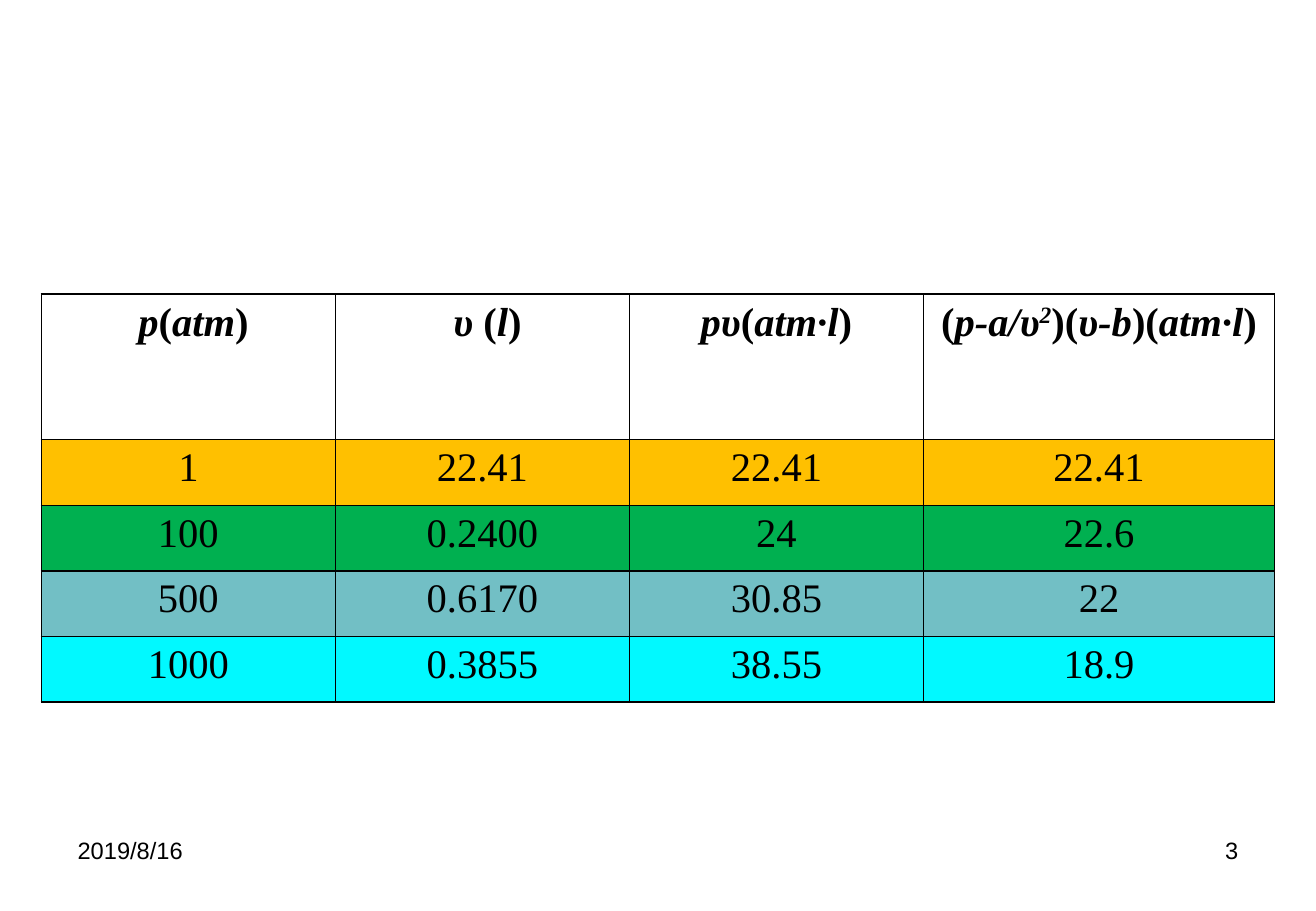
from dataclasses import dataclass
from typing import Optional

from lxml import etree
from pptx import Presentation
from pptx import util as u
from pptx.dml import color
from pptx.enum import text
from pptx.oxml import ns


@dataclass(frozen=True)
class Theme:
    """Colours, fonts and type sizes of the slide."""
    ink: str = "000000"
    amber: str = "FFC000"
    green: str = "00B050"
    teal: str = "72BFC5"
    cyan: str = "01F9FF"
    table_font: str = "Times New Roman"
    footer_font: str = "Arial"
    table_size: int = 24
    footer_size: int = 14
    border_width: int = 1


@dataclass(frozen=True)
class Row:
    """Table row whose cells are lists of spans."""
    cells: list[list[str]]
    height: float = 0.54
    fill: Optional[str] = None
    is_header: bool = False


@dataclass(frozen=True)
class Footer:
    """Footer text with its left edge and alignment."""
    words: str
    left: float
    align: text.PP_ALIGN


THEME = Theme()
SUPERSCRIPT = "^"
COLUMN_WIDTHS = [2.42, 2.42, 2.42, 2.89]
HEADINGS = [
    [" p", "(", "atm", ")"],
    [" υ ", "(", "l", ")"],
    ["pυ", "(", "atm·l", ")"],
    ["(", "p-a/υ", "^2", ")(", "υ-b", ")(", "atm·l", ")"],
]
READINGS = [
    ("1 22.41 22.41 22.41", THEME.amber),
    ("100 0.2400 24 22.6", THEME.green),
    ("500 0.6170 30.85 22", THEME.teal),
    ("1000 0.3855 38.55 18.9", THEME.cyan),
]
ROWS = [Row(HEADINGS, height=1.2, is_header=True)] + [
    Row([[value] for value in values.split()], fill=fill) for values, fill in READINGS
]
FOOTERS = [
    Footer("2019/8/16", 0.54, text.PP_ALIGN.LEFT),
    Footer("3", 7.76, text.PP_ALIGN.RIGHT),
]


def style_font(font, name: str, size: int) -> None:
    """Apply typeface, size and ink colour."""
    font.name = name
    font.size = u.Pt(size)
    font.color.rgb = color.RGBColor.from_string(THEME.ink)


def add_borders(cell) -> None:
    """Outline all four sides of a cell."""
    properties = cell._tc.get_or_add_tcPr()
    for side in ("a:lnL", "a:lnR", "a:lnT", "a:lnB"):
        line = etree.SubElement(properties, ns.qn(side), w=str(u.Pt(THEME.border_width)))
        solid = etree.SubElement(line, ns.qn("a:solidFill"))
        etree.SubElement(solid, ns.qn("a:srgbClr"), val=THEME.ink)


def fill_cell(cell, spans: list[str], row: Row) -> None:
    """Write the spans of one cell and set its look."""
    para = cell.text_frame.paragraphs[0]
    para.alignment = text.PP_ALIGN.CENTER
    for words in spans:
        span = para.add_run()
        span.text = words.removeprefix(SUPERSCRIPT)
        style_font(span.font, THEME.table_font, THEME.table_size)
        span.font.bold = row.is_header
        span.font.italic = row.is_header and not set(words) <= set("()")
        if words.startswith(SUPERSCRIPT):
            span.font._element.set("baseline", "30000")
    add_borders(cell)
    if row.fill:
        cell.fill.solid()
        cell.fill.fore_color.rgb = color.RGBColor.from_string(row.fill)
    else:
        cell.fill.background()


def draw_table(page) -> None:
    """Draw the table of gas readings."""
    width = sum(COLUMN_WIDTHS)
    height = sum(row.height for row in ROWS)
    table = page.shapes.add_table(
        len(ROWS), len(COLUMN_WIDTHS),
        u.Inches(0.34), u.Inches(2.42), u.Inches(width), u.Inches(height),
    ).table
    table.first_row = table.horz_banding = False
    for column, column_width in zip(table.columns, COLUMN_WIDTHS):
        column.width = u.Inches(column_width)
    for table_row, row in zip(table.rows, ROWS):
        table_row.height = u.Inches(row.height)
        for cell, spans in zip(table_row.cells, row.cells):
            fill_cell(cell, spans, row)


def draw_footer(page, footer: Footer) -> None:
    """Draw one footer text."""
    box = page.shapes.add_textbox(
        u.Inches(footer.left), u.Inches(6.83), u.Inches(2.53), u.Inches(0.52)
    )
    box.text_frame.word_wrap = True
    box.text_frame.text = footer.words
    para = box.text_frame.paragraphs[0]
    para.alignment = footer.align
    style_font(para.runs[0].font, THEME.footer_font, THEME.footer_size)


def main() -> None:
    """Build and save the deck."""
    deck = Presentation()
    deck.slide_width, deck.slide_height = u.Inches(10.83), u.Inches(7.5)
    page = deck.slides.add_slide(deck.slide_layouts[6])
    for footer in FOOTERS:
        draw_footer(page, footer)
    draw_table(page)
    deck.save("out.pptx")


if __name__ == "__main__":
    main()
